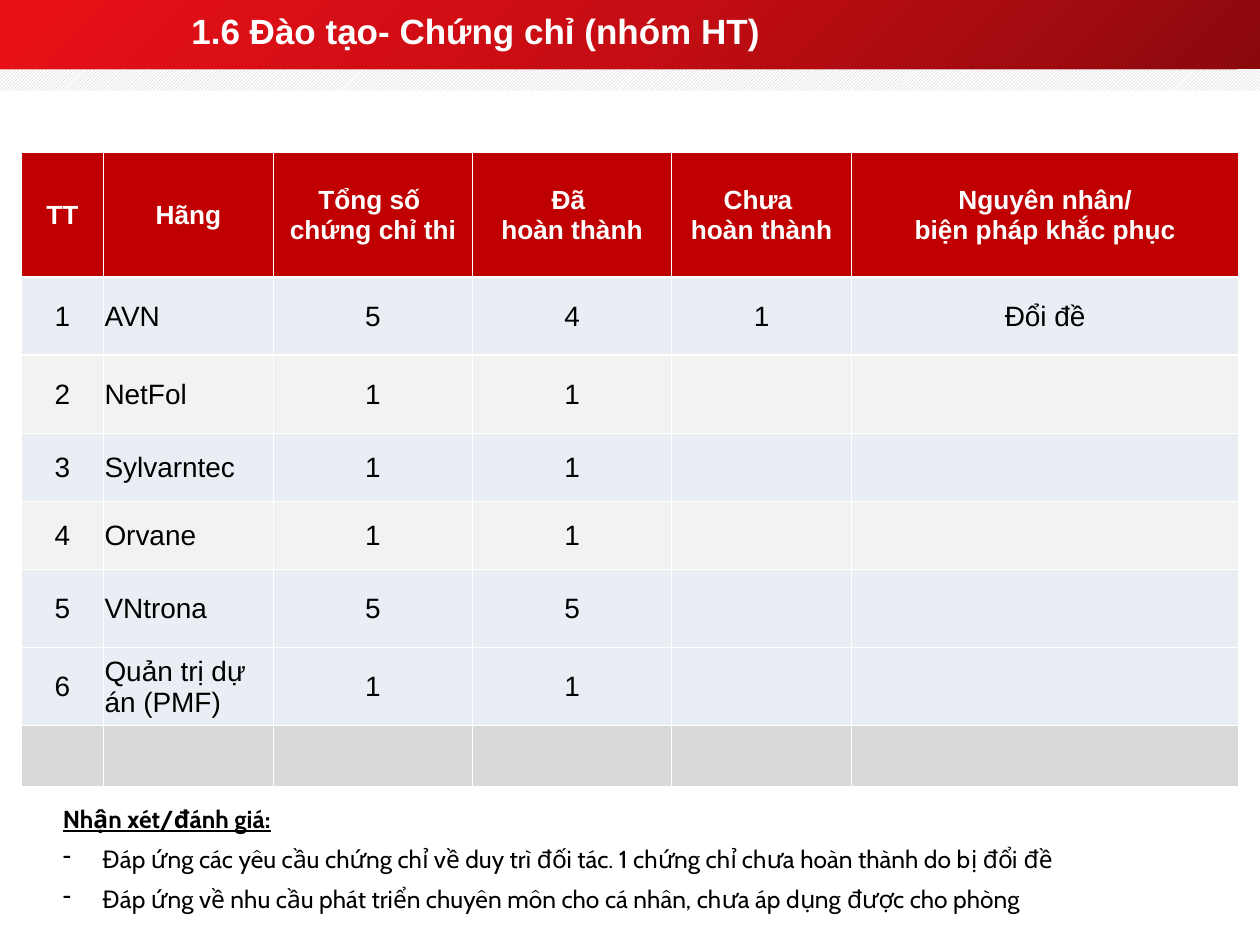
import copy

import pptx
import pptx.dml.color
import pptx.enum.dml
import pptx.enum.shapes
import pptx.enum.text
import pptx.oxml
import pptx.oxml.ns
import pptx.util

Pt = pptx.util.Pt
RGBColor = pptx.dml.color.RGBColor
ALIGN = pptx.enum.text.PP_ALIGN
MIDDLE = pptx.enum.text.MSO_ANCHOR.MIDDLE

WHITE = RGBColor(0xFF, 0xFF, 0xFF)
BLACK = RGBColor(0, 0, 0)
GREY = RGBColor(0xBF, 0xBF, 0xBF)
HEADER_RED = RGBColor(0xC0, 0, 0)
ROW_BLUE = RGBColor(0xE9, 0xED, 0xF4)
ROW_GREY = RGBColor(0xF2, 0xF2, 0xF2)
TOTAL_GREY = RGBColor(0xD9, 0xD9, 0xD9)
BANNER_STOPS = [
    (0, RGBColor(0x8B, 0x09, 0x0D)),
    (50, RGBColor(0xC5, 0x0D, 0x13)),
    (100, RGBColor(0xEA, 0x10, 0x17)),
]

TITLE = "1.6 Đào tạo- Chứng chỉ (nhóm HT)"
# A "\v" is a line break, a "\n" starts a new paragraph.
HEADER = ["TT", "Hãng", "Tổng số \vchứng chỉ thi", "Đã \vhoàn thành",
          "Chưa \vhoàn thành", "Nguyên nhân/\nbiện pháp khắc phục"]
# Row height, fill, cell texts
ROWS = [
    (71.28, HEADER_RED, HEADER),
    (44.64, ROW_BLUE, ["1", "AVN", "5", "4", "1", "Đổi đề"]),
    (44.64, ROW_GREY, ["2", "NetFol", "1", "1", "", ""]),
    (38.88, ROW_BLUE, ["3", "Sylvarntec", "1", "1", "", ""]),
    (38.88, ROW_GREY, ["4", "Orvane", "1", "1", "", ""]),
    (44.64, ROW_BLUE, ["5", "VNtrona", "5", "5", "", ""]),
    (44.64, ROW_BLUE, ["6", "Quản trị dự án (PMF)", "1", "1", "", ""]),
    (35.28, TOTAL_GREY, [""] * 6),
]
COLUMN_WIDTHS = [46.8, 97.2, 113.76, 113.76, 102.96, 221.04]
NAME_COLUMN = 1

REMARK_HEADING = "Nhận xét/đánh giá:"
REMARKS = [
    "Đáp ứng các yêu cầu chứng chỉ về duy trì đối tác. "
    "1 chứng chỉ chưa hoàn thành do bị đổi đề",
    "Đáp ứng về nhu cầu phát triển chuyên môn cho cá nhân, "
    "chưa áp dụng được cho phòng",
]


def xml(markup):
    """Parse one DrawingML element written with the a: prefix."""
    head, mark, tail = markup.partition(">")
    slash = "/" if head.endswith("/") else ""
    namespace = pptx.oxml.ns.nsdecls("a")
    return pptx.oxml.parse_xml(f"{head.rstrip('/')} {namespace}{slash}{mark}{tail}")


def write(paragraph, text, size, color, font="Arial", bold=False,
          underline=False, align=ALIGN.LEFT, space_before=0):
    paragraph.text = text
    paragraph.alignment = align
    paragraph.space_before = Pt(space_before)
    for run in paragraph.runs:
        run.font.name = font
        run.font.size = Pt(size)
        run.font.bold = bold
        run.font.underline = underline
        run.font.color.rgb = color
    for line_break in paragraph._p.findall(pptx.oxml.ns.qn("a:br")):
        line_break.append(copy.deepcopy(paragraph.runs[0]._r.rPr))


def add_band(slide, top, height):
    """Add a full-width rectangle without line or shadow."""
    band = slide.shapes.add_shape(pptx.enum.shapes.MSO_SHAPE.RECTANGLE,
                                  0, Pt(top), Pt(720), Pt(height))
    band.shadow.inherit = False
    band.line.fill.background()
    return band


def add_banner(slide):
    banner = add_band(slide, 0, 39.6)
    banner.fill.background()
    stops = "".join(f'<a:gs pos="{position * 1000}"><a:srgbClr val="{color}"/></a:gs>'
                    for position, color in BANNER_STOPS)
    no_fill = banner._element.spPr.find(pptx.oxml.ns.qn("a:noFill"))
    no_fill.addnext(xml(f'<a:gradFill rotWithShape="1"><a:gsLst>{stops}</a:gsLst>'
                        '<a:lin ang="13500000" scaled="0"/></a:gradFill>'))
    banner._element.spPr.remove(no_fill)

    stripe = add_band(slide, 39.6, 12.24)
    stripe.fill.patterned()
    stripe.fill.pattern = pptx.enum.dml.MSO_PATTERN.DARK_UPWARD_DIAGONAL
    stripe.fill.fore_color.rgb = GREY
    stripe.fill.back_color.rgb = WHITE

    title = slide.shapes.add_textbox(Pt(102.24), 0, Pt(545.76), Pt(34.56))
    title.text_frame.word_wrap = True
    title.text_frame.vertical_anchor = MIDDLE
    write(title.text_frame.paragraphs[0], TITLE, 20, WHITE, bold=True)


def format_cell(cell, fill):
    cell.vertical_anchor = MIDDLE
    cell.margin_left = cell.margin_right = cell.margin_top = Pt(0.72)
    cell.margin_bottom = 0
    cell.fill.solid()
    cell.fill.fore_color.rgb = fill
    properties = cell._tc.get_or_add_tcPr()
    for index, side in enumerate(("lnL", "lnR", "lnT", "lnB")):
        properties.insert(index, xml(f'<a:{side} w="12700"><a:solidFill>'
                                     f'<a:srgbClr val="{WHITE}"/></a:solidFill></a:{side}>'))


def add_certificate_table(slide):
    table = slide.shapes.add_table(
        len(ROWS), len(COLUMN_WIDTHS), Pt(12.24), Pt(87.12),
        Pt(sum(COLUMN_WIDTHS)), Pt(sum(row[0] for row in ROWS))).table
    for column, width in zip(table.columns, COLUMN_WIDTHS):
        column.width = Pt(width)
    for row_index, (height, fill, texts) in enumerate(ROWS):
        table.rows[row_index].height = Pt(height)
        is_header = row_index == 0
        for column_index, text in enumerate(texts):
            cell = table.cell(row_index, column_index)
            format_cell(cell, fill)
            is_name = column_index == NAME_COLUMN and not is_header
            for line_index, line in enumerate(text.split("\n")):
                frame = cell.text_frame
                paragraph = frame.add_paragraph() if line_index else frame.paragraphs[0]
                write(paragraph, line, 15 if is_header else 16,
                      WHITE if is_header else BLACK, bold=is_header,
                      align=ALIGN.LEFT if is_name else ALIGN.CENTER)


def add_remarks(slide):
    frame = slide.shapes.add_textbox(Pt(28.8), Pt(455.76), Pt(677.52), Pt(70.56)).text_frame
    frame.word_wrap = True
    frame.auto_size = pptx.enum.text.MSO_AUTO_SIZE.SHAPE_TO_FIT_TEXT
    write(frame.paragraphs[0], REMARK_HEADING, 14, BLACK, font="Cabin",
          bold=True, underline=True)
    for remark in REMARKS:
        paragraph = frame.add_paragraph()
        properties = paragraph._p.get_or_add_pPr()
        properties.set("marL", str(Pt(22.5)))
        properties.set("indent", str(-Pt(22.5)))
        properties.append(xml('<a:buChar char="-"/>'))
        write(paragraph, remark, 14, BLACK, font="Cabin", space_before=6)


def main():
    presentation = pptx.Presentation()
    presentation.slide_width = Pt(720)
    presentation.slide_height = Pt(540)
    slide = presentation.slides.add_slide(presentation.slide_layouts[6])
    add_banner(slide)
    add_certificate_table(slide)
    add_remarks(slide)
    presentation.save("out.pptx")


if __name__ == "__main__":
    main()
